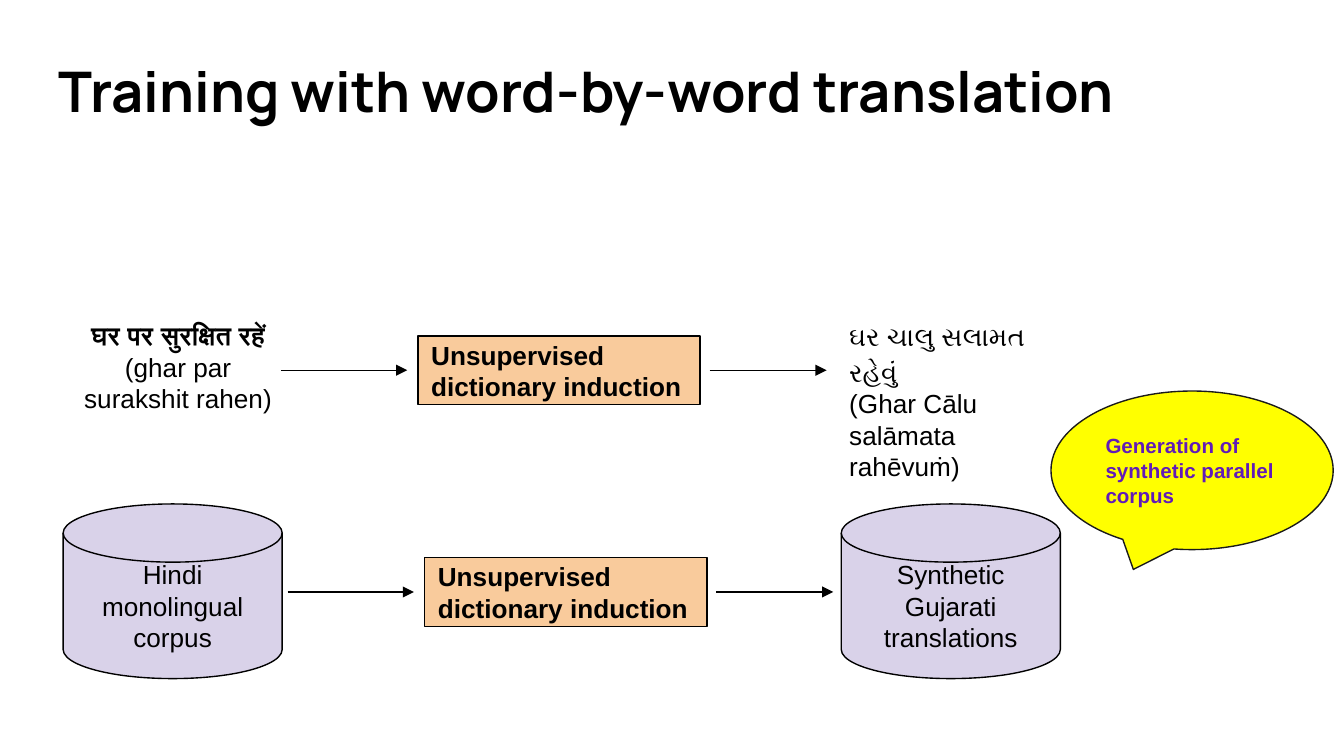
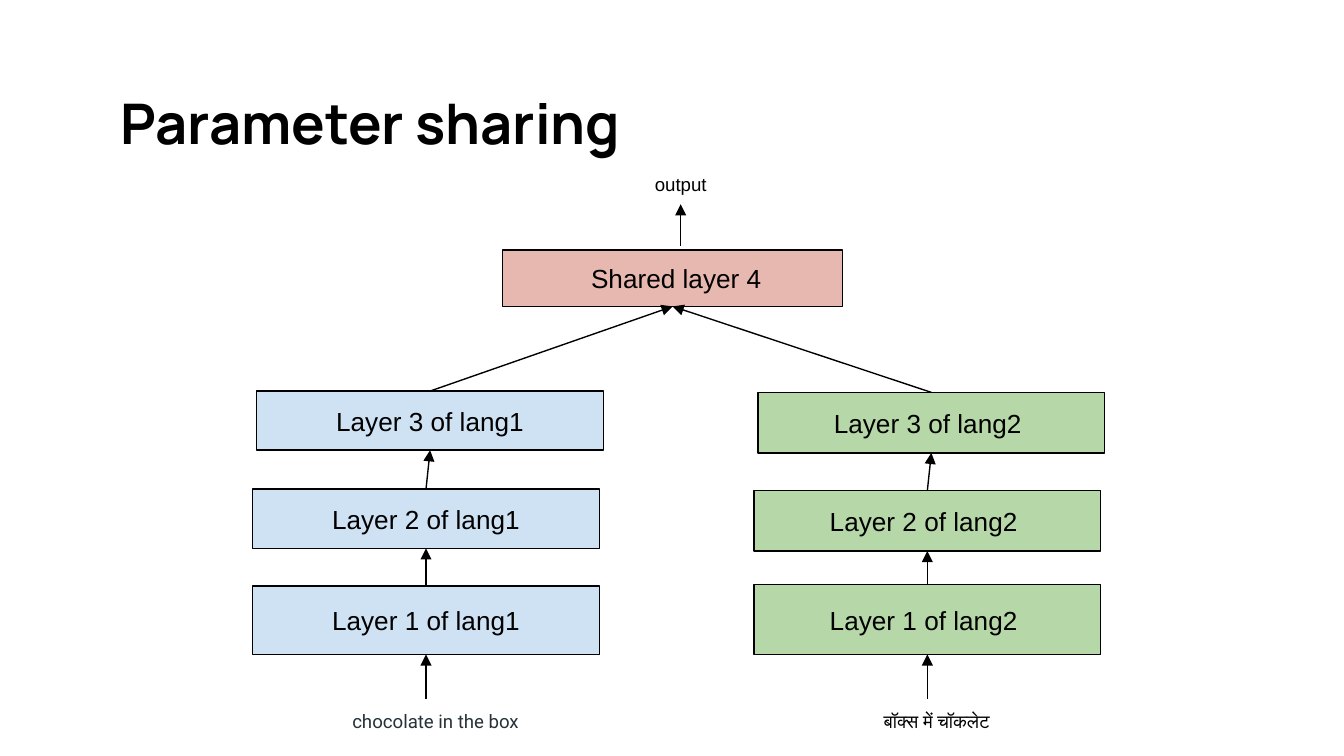
from lxml import etree
from pptx import Presentation
from pptx.dml.color import RGBColor
from pptx.enum.shapes import MSO_CONNECTOR, MSO_SHAPE
from pptx.enum.text import MSO_ANCHOR, PP_ALIGN
from pptx.oxml.ns import qn
from pptx.util import Inches, Pt

STRAIGHT = MSO_CONNECTOR.STRAIGHT
RECTANGLE = MSO_SHAPE.RECTANGLE
CYLINDER = MSO_SHAPE.FLOWCHART_MAGNETIC_DISK
CALLOUT = MSO_SHAPE.OVAL_CALLOUT
LEFT, CENTER = PP_ALIGN.LEFT, PP_ALIGN.CENTER
TOP, MIDDLE = MSO_ANCHOR.TOP, MSO_ANCHOR.MIDDLE
SIDE_TOP, SIDE_BOTTOM = 0, 2

BLACK = RGBColor(0x00, 0x00, 0x00)
CHARCOAL = RGBColor(0x1A, 0x1A, 0x1A)
SLATE = RGBColor(0x26, 0x32, 0x38)
PURPLE = RGBColor(0x61, 0x1B, 0xB8)
YELLOW = RGBColor(0xFF, 0xFF, 0x00)
ORANGE = RGBColor(0xF9, 0xCB, 0x9C)
LILAC = RGBColor(0xD9, 0xD2, 0xE9)
BLUE = RGBColor(0xCF, 0xE2, 0xF3)
GREEN = RGBColor(0xB6, 0xD7, 0xA8)
ROSE = RGBColor(0xE6, 0xB8, 0xAF)

# Widescreen, 16 to 9
SLIDE_WIDTH = 10
SLIDE_HEIGHT = SLIDE_WIDTH * 9 / 16
LINE_WIDTH = Pt(0.75)

# Text formats
BODY = {"name": "Arial", "size": Pt(14), "bold": False, "color": BLACK}
STRONG = {**BODY, "bold": True}
TITLE = {**STRONG, "name": "Manrope", "size": Pt(30)}
NOTE = {**STRONG, "size": Pt(11), "color": PURPLE}
SMALL = {**BODY, "size": Pt(10)}
SAMPLE = {**SMALL, "name": "Roboto", "color": SLATE}

# Slide 1: sentences, process steps and corpora
TRAINING_TITLE = ("Training with word-by-word translation", (0.34, 0.32, 9.32, 0.63))
STEP_TEXT = "Unsupervised dictionary induction"
STEP_SIZE = (2.1, 0.51)
STEPS = [(3.11, 2.5), (3.16, 4.15)]
GAP_BEFORE, GAP_AFTER, ARROW_IN, ARROW_OUT = 0.08, 0.07, 0.94, 0.87
SENTENCES = [
    ((0.43, 2.28, 1.79, 0.63), CENTER, 1.0,
     [("घर पर सुरक्षित रहें", STRONG), ("(ghar par surakshit rahen)", BODY)]),
    ((6.22, 2.25, 1.79, 0.63), LEFT, 1.15,
     [("ઘર ચાલુ સલામત રહેવું", STRONG), ("(Ghar Cālu salāmata rahēvuṁ)", BODY)]),
]
CORPORA = [(0.47, "Hindi monolingual corpus"), (6.26, "Synthetic Gujarati translations")]
CORPUS_TOP, CORPUS_SIZE = 3.75, (1.63, 1.3)
CALLOUT_TEXT = "Generation of synthetic parallel corpus"
CALLOUT_BOX, CALLOUT_TIP = (7.82, 2.91, 2.1, 1.18), (-0.208, 0.625)

# Slide 2: one tower of layers per language, joined by a shared layer
SHARING_TITLE = ("Parameter sharing", (0.8, 0.56, 8.41, 0.59))
LAYER_WIDTH, LAYER_SHIFTS = 2.58, (0, 0, 0.03)
TOWERS = [  # language, left, fill, (top, height) of layers 1 to 3, input, format
    ("lang1", 1.88, BLUE, [(4.36, 0.51), (3.64, 0.44), (2.91, 0.44)],
     "chocolate in the box", SAMPLE),
    ("lang2 ", 5.61, GREEN, [(4.35, 0.52), (3.65, 0.45), (2.92, 0.45)],
     "बॉक्स में चॉकलेट", SMALL),
]
SHARED_LAYER = (" Shared layer 4", (3.74, 1.86, 2.53, 0.42))
INPUT_TOP, INPUT_SHIFT, CAPTION_HEIGHT = 5.2, 0.07, 0.26
OUTPUT_BOX = (4.73, 1.2, 0.67, CAPTION_HEIGHT)
OUTPUT_ARROW = (1.83, 1.52)


def write(shape, lines, align, anchor, first_spacing=1.0):
    """Fill a shape with (text, format) paragraphs."""
    frame = shape.text_frame
    frame.word_wrap = True
    frame.vertical_anchor = anchor
    for side in ("left", "right", "top", "bottom"):
        setattr(frame, f"margin_{side}", Inches(0.1))
    for index, (text, style) in enumerate(lines):
        paragraph = frame.add_paragraph() if index else frame.paragraphs[0]
        paragraph.alignment = align
        if index == 0 and first_spacing != 1:
            paragraph.line_spacing = first_spacing
        run = paragraph.add_run()
        run.text = text
        for key, value in style.items():
            if key == "color":
                run.font.color.rgb = value
            else:
                setattr(run.font, key, value)


def add_text(slide, box, lines, align=LEFT, first_spacing=1.0):
    shape = slide.shapes.add_textbox(*map(Inches, box))
    write(shape, lines, align, TOP, first_spacing)


def add_box(slide, kind, box, fill, text, style=BODY, align=CENTER, outline=BLACK):
    shape = slide.shapes.add_shape(kind, *map(Inches, box))
    shape.shadow.inherit = False
    shape.fill.solid()
    shape.fill.fore_color.rgb = fill
    shape.line.color.rgb = outline
    shape.line.width = LINE_WIDTH
    write(shape, [(text, style)], align, MIDDLE)
    return shape


def add_arrow(slide, start=(0, 0), end=(0, 0), source=None, target=None):
    """Draw an arrow; source and target join it to a shape's top and bottom."""
    arrow = slide.shapes.add_connector(STRAIGHT, *map(Inches, (*start, *end)))
    if source is not None:
        arrow.begin_connect(source, SIDE_TOP)
    if target is not None:
        arrow.end_connect(target, SIDE_BOTTOM)
    arrow.line.color.rgb = BLACK
    arrow.line.width = LINE_WIDTH
    line = arrow._element.spPr.find(qn("a:ln"))
    etree.SubElement(line, qn("a:tailEnd"), type="triangle")
    etree.SubElement(arrow._element.spPr, qn("a:effectLst"))


def start_slide(presentation, title):
    slide = presentation.slides.add_slide(presentation.slide_layouts[6])
    text, box = title
    add_text(slide, box, [(text, TITLE)])
    return slide


def build_training(presentation):
    slide = start_slide(presentation, TRAINING_TITLE)
    width, height = STEP_SIZE
    for left, top in STEPS:
        add_box(slide, RECTANGLE, (left, top, width, height), ORANGE, STEP_TEXT, STRONG, LEFT)
        middle = top + height / 2
        before, after = left - GAP_BEFORE, left + width + GAP_AFTER
        add_arrow(slide, (before - ARROW_IN, middle), (before, middle))
        add_arrow(slide, (after, middle), (after + ARROW_OUT, middle))
    for box, align, spacing, lines in SENTENCES:
        add_text(slide, box, lines, align, spacing)
    for left, text in CORPORA:
        add_box(slide, CYLINDER, (left, CORPUS_TOP, *CORPUS_SIZE), LILAC, text)
    callout = add_box(slide, CALLOUT, CALLOUT_BOX, YELLOW, CALLOUT_TEXT, NOTE, LEFT, CHARCOAL)
    for index, value in enumerate(CALLOUT_TIP):
        callout.adjustments[index] = value


def build_sharing(presentation):
    slide = start_slide(presentation, SHARING_TITLE)
    text, box = SHARED_LAYER
    shared = add_box(slide, RECTANGLE, box, ROSE, text)

    # Each tower runs from its input up to the shared layer
    for language, left, fill, layers, sample, style in TOWERS:
        below = None
        for number, ((top, height), shift) in enumerate(zip(layers, LAYER_SHIFTS), 1):
            layer = add_box(slide, RECTANGLE, (left + shift, top, LAYER_WIDTH, height),
                            fill, f"Layer {number} of {language}")
            start = (left + LAYER_WIDTH / 2, INPUT_TOP)
            add_arrow(slide, start, start, below, layer)
            below = layer
        add_arrow(slide, source=below, target=shared)
        add_text(slide, (left + INPUT_SHIFT, INPUT_TOP, LAYER_WIDTH, CAPTION_HEIGHT),
                 [(sample, style)], CENTER)

    # Output
    center = OUTPUT_BOX[0] + OUTPUT_BOX[2] / 2
    add_arrow(slide, *[(center, y) for y in OUTPUT_ARROW])
    add_text(slide, OUTPUT_BOX, [("output", SMALL)], CENTER)


def main():
    presentation = Presentation()
    presentation.slide_width = Inches(SLIDE_WIDTH)
    presentation.slide_height = Inches(SLIDE_HEIGHT)
    build_training(presentation)
    build_sharing(presentation)
    presentation.save("out.pptx")


if __name__ == "__main__":
    main()
